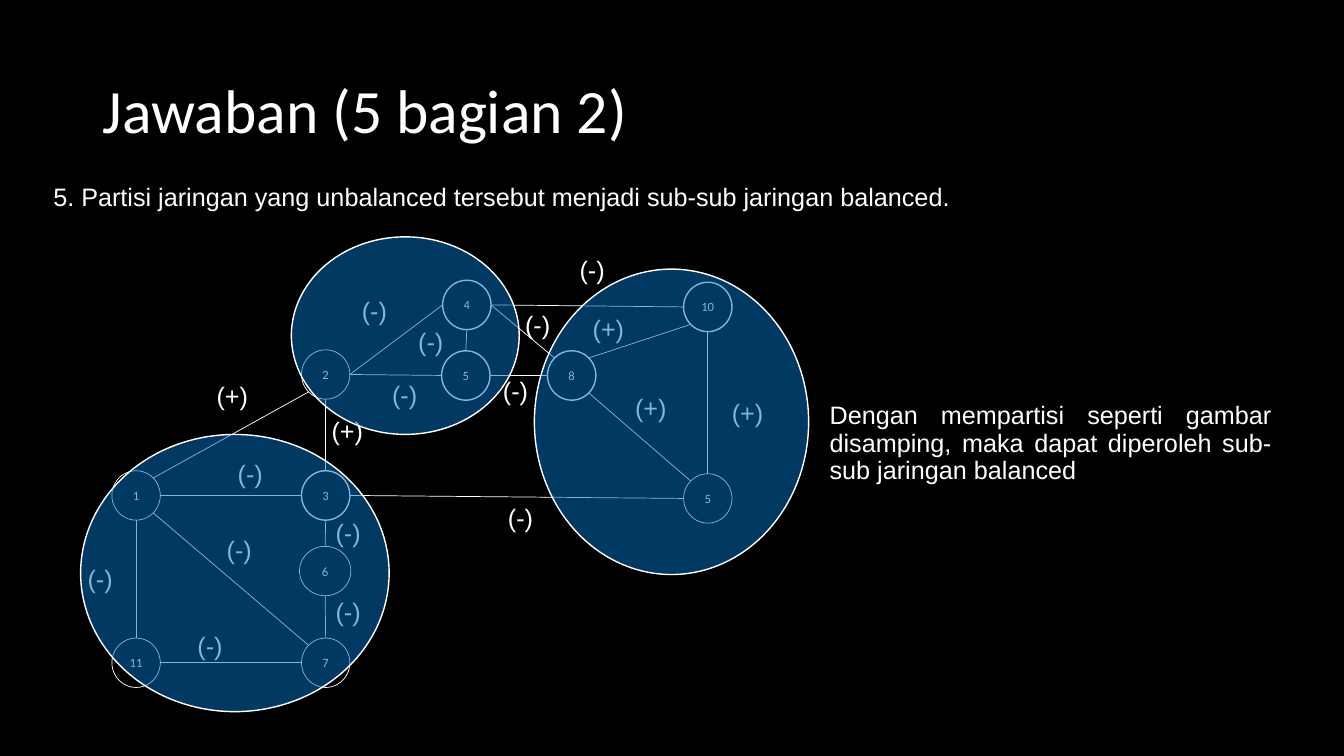
import math
from dataclasses import dataclass

import pptx
import pptx.dml.color
import pptx.enum.shapes
import pptx.enum.text
import pptx.oxml.ns
import pptx.util
from lxml import etree
from pptx.util import Inches

ALIGN = pptx.enum.text.PP_ALIGN
ANCHOR = pptx.enum.text.MSO_ANCHOR
OVAL = pptx.enum.shapes.MSO_SHAPE.OVAL


@dataclass(frozen=True)
class Theme:
    background: str = "000000"
    ink: str = "FFFFFF"
    partition: str = "0070C0"
    partition_alpha: int = 51
    heading_font: str = "Calibri"
    body_font: str = "Arial"
    title_size: float = 44
    body_size: float = 18
    node_size: float = 9
    thin: float = 0.5
    thick: float = 1


THEME = Theme()
NODE_WIDTH, NODE_HEIGHT = 0.48, 0.49
SIGN_WIDTH, SIGN_HEIGHT = 0.64, 0.4

# name: label, left, top, width, line weight
NODES = {
    "1": ("1", 1.11, 4.67, NODE_WIDTH, THEME.thin),
    "2": ("2", 2.99, 3.47, NODE_WIDTH, THEME.thin),
    "3": ("3", 2.99, 4.67, NODE_WIDTH, THEME.thick),
    "4": ("4", 4.39, 2.78, NODE_WIDTH, THEME.thick),
    "5 top": ("5", 4.38, 3.48, NODE_WIDTH, THEME.thick),
    "5 right": ("5", 6.78, 4.7, NODE_WIDTH, THEME.thin),
    "6": ("6", 2.97, 5.42, 0.51, THEME.thin),
    "7": ("7", 2.99, 6.33, NODE_WIDTH, THEME.thin),
    "8": ("8", 5.43, 3.48, NODE_WIDTH, THEME.thick),
    "10": ("10", 6.78, 2.8, NODE_WIDTH, THEME.thick),
    "11": ("11", 1.11, 6.33, NODE_WIDTH, THEME.thin),
}
# Each edge leaves one node and meets another at a compass point
EDGES = [
    ("1", "NE", "2", "SW"), ("1", "E", "3", "W"), ("1", "SE", "7", "NW"),
    ("1", "S", "11", "N"), ("11", "E", "7", "W"), ("2", "S", "3", "N"),
    ("3", "S", "6", "N"), ("6", "S", "7", "N"), ("3", "E", "5 right", "W"),
    ("2", "E", "4", "W"), ("2", "E", "5 top", "W"), ("4", "S", "5 top", "N"),
    ("4", "E", "10", "W"), ("4", "E", "8", "NW"), ("5 top", "E", "8", "W"),
    ("8", "NE", "10", "SW"), ("8", "SE", "5 right", "NW"),
    ("10", "S", "5 right", "N"),
]
SIGNS = {
    "(-)": [
        (0.77, 5.54), (1.86, 6.2), (3.23, 5.87), (3.23, 5.08), (4.94, 4.93),
        (5.65, 2.47), (3.49, 2.88), (2.15, 5.25), (2.26, 4.5), (5.11, 3.02),
        (4.89, 3.67), (3.79, 3.71), (4.05, 3.19),
    ],
    "(+)": [(7.16, 3.89), (2.05, 3.72), (3.19, 4.07), (5.78, 3.06), (6.2, 3.84)],
}
PARTITIONS = [
    (0.8, 4.31, 3.06, 2.75),
    (5.3, 2.67, 2.72, 3.03),
    (2.89, 2.35, 2.26, 1.96),
]
COMPASS = ["E", "SE", "S", "SW", "W", "NW", "N", "NE"]


def rgb(value):
    return pptx.dml.color.RGBColor.from_string(value)


def apply(target, values):
    for name, value in values.items():
        setattr(target, name, value)


def set_line(shape, weight):
    shape.line.color.rgb = rgb(THEME.ink)
    shape.line.width = pptx.util.Pt(weight)


def write(shape, text, font, size, frame_format, para_format):
    apply(shape.text_frame, frame_format)
    para = shape.text_frame.paragraphs[0]
    apply(para, para_format)
    span = para.add_run()
    span.text = text
    apply(span.font, {"name": font, "size": pptx.util.Pt(size)})
    span.font.color.rgb = rgb(THEME.ink)


def add_text(page, text, bounds, font=THEME.body_font, size=THEME.body_size,
             frame_format=None, para_format=None):
    box = page.shapes.add_textbox(*map(Inches, bounds))
    write(box, text, font, size, {"word_wrap": True, **(frame_format or {})},
          para_format or {})


def add_oval(page, bounds, weight):
    oval = page.shapes.add_shape(OVAL, *map(Inches, bounds))
    oval.shadow.inherit = False
    oval.fill.background()
    set_line(oval, weight)
    return oval


def add_node(page, label, left, top, width, weight):
    oval = add_oval(page, (left, top, width, NODE_HEIGHT), weight)
    margins = dict.fromkeys(
        ("margin_left", "margin_right", "margin_top", "margin_bottom"), 0)
    write(oval, label, THEME.heading_font, THEME.node_size,
          {"vertical_anchor": ANCHOR.MIDDLE, **margins},
          {"alignment": ALIGN.CENTER})


def rim_point(name, direction):
    """Return where a compass direction meets the rim of a node."""
    _, left, top, width, _ = NODES[name]
    angle = COMPASS.index(direction) * math.pi / 4
    return (Inches(left + width / 2 * (1 + math.cos(angle))),
            Inches(top + NODE_HEIGHT / 2 * (1 + math.sin(angle))))


def add_edge(page, start, start_side, end, end_side):
    edge = page.shapes.add_connector(
        pptx.enum.shapes.MSO_CONNECTOR.STRAIGHT,
        *rim_point(start, start_side), *rim_point(end, end_side))
    set_line(edge, THEME.thin)
    etree.SubElement(edge._element.spPr, pptx.oxml.ns.qn("a:effectLst"))


def add_partition(page, bounds):
    oval = add_oval(page, bounds, THEME.thick)
    oval.fill.solid()
    oval.fill.fore_color.rgb = rgb(THEME.partition)
    color = oval._element.spPr.find(".//" + pptx.oxml.ns.qn("a:srgbClr"))
    alpha = etree.SubElement(color, pptx.oxml.ns.qn("a:alpha"))
    alpha.set("val", str(THEME.partition_alpha * 1000))


def main():
    deck = pptx.Presentation()
    apply(deck, {"slide_width": Inches(13.33), "slide_height": Inches(7.5)})
    page = deck.slides.add_slide(deck.slide_layouts[6])
    page.background.fill.solid()
    page.background.fill.fore_color.rgb = rgb(THEME.background)

    add_text(page, "Jawaban (5 bagian 2)", (0.92, 0.4, 11.5, 1.45),
             THEME.heading_font, THEME.title_size,
             {"vertical_anchor": ANCHOR.MIDDLE}, {"line_spacing": 0.9})
    justified = {"alignment": ALIGN.JUSTIFY, "line_spacing": 0.9}
    add_text(page, "5. Partisi jaringan yang unbalanced tersebut menjadi "
             "sub-sub jaringan balanced.", (0.43, 1.78, 12.41, 0.69),
             para_format=justified)
    add_text(page, "Dengan mempartisi seperti gambar disamping, maka dapat "
             "diperoleh sub-sub jaringan balanced", (8.13, 3.95, 4.58, 1.18),
             para_format=justified)

    for node in NODES.values():
        add_node(page, *node)
    for edge in EDGES:
        add_edge(page, *edge)
    for sign, places in SIGNS.items():
        for left, top in places:
            add_text(page, sign, (left, top, SIGN_WIDTH, SIGN_HEIGHT))
    for bounds in PARTITIONS:
        add_partition(page, bounds)
    deck.save("out.pptx")


if __name__ == "__main__":
    main()
